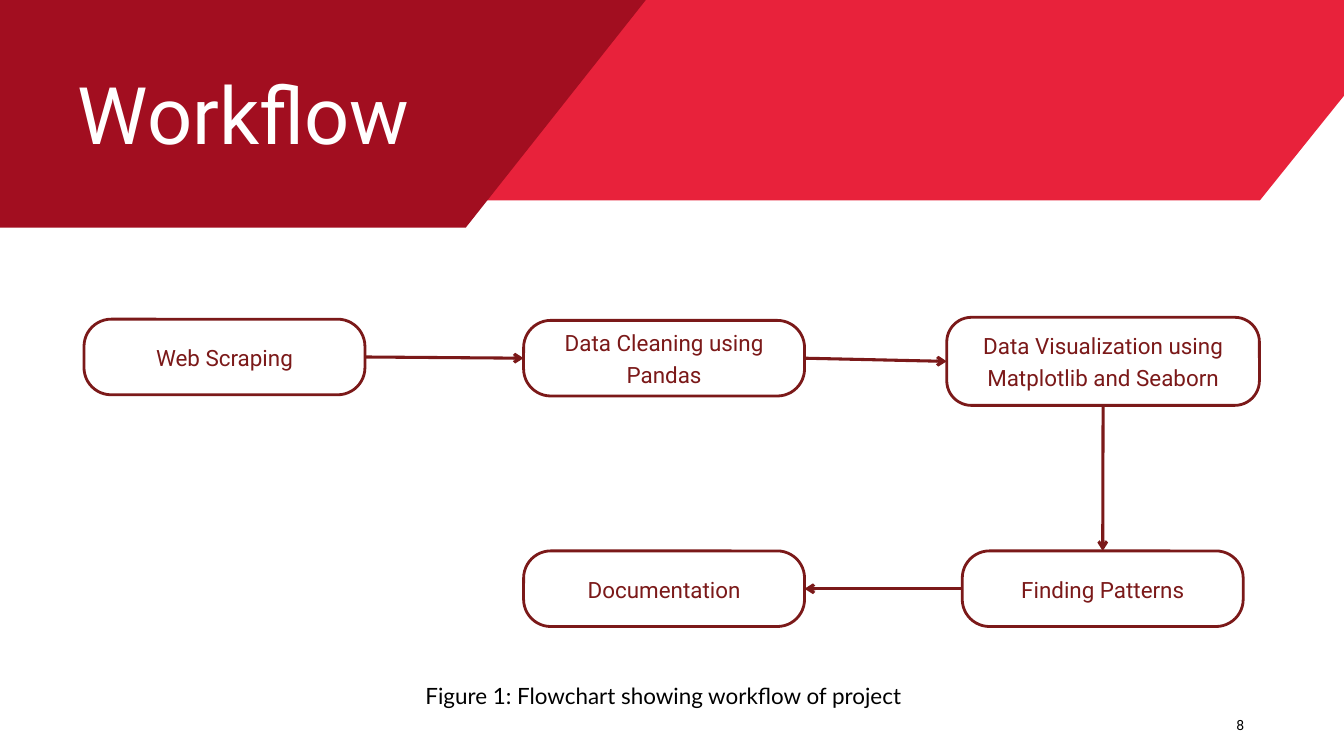
import pptx
import pptx.dml.color
import pptx.enum.shapes
import pptx.enum.text
import pptx.oxml.ns
import lxml.etree

Pt = pptx.util.Pt
ALIGN = pptx.enum.text.PP_ALIGN
ANCHOR = pptx.enum.text.MSO_ANCHOR
SHAPE = pptx.enum.shapes.MSO_SHAPE
CONNECTOR = pptx.enum.shapes.MSO_CONNECTOR

MAROON = "7B1919"
BOTTOM, LEFT, TOP, RIGHT = 2, 1, 0, 3

BANNERS = [
    ("E8223B", [(147, 0), (1440, 0), (1440, 102.6), (1350, 214.6), (319.7, 214.6)]),
    ("A20E20", [(0, 0), (692, 0), (499, 244), (0, 244)]),
]

STEPS = {
    "scraping": (["Web Scraping"], 90, 342, 301, 81),
    "cleaning": (["Data Cleaning using", "Pandas"], 561, 343.3, 301, 81),
    "visualization": (
        ["Data Visualization using", "Matplotlib and Seaborn"], 1014.4, 340, 335, 94.4),
    "patterns": (["Finding Patterns"], 1031, 590.3, 301, 81),
    "documentation": (["Documentation"], 561, 590.3, 301, 81),
}

ARROWS = [
    ("scraping", RIGHT, "cleaning", LEFT),
    ("cleaning", RIGHT, "visualization", LEFT),
    ("visualization", BOTTOM, "patterns", TOP),
    ("patterns", LEFT, "documentation", RIGHT),
]

CAPTIONS = [
    ("8", 1315, 764.6, 28, 20, "Roboto", 15, 21),
    ("Figure 1: Flowchart showing workflow of project",
     435.6, 725.8, 550, 31, "Lato", 24, 33.6),
]


def color(value):
    return pptx.dml.color.RGBColor.from_string(value)


def place(shape, left, top, width, height):
    shape.left, shape.top = Pt(left), Pt(top)
    shape.width, shape.height = Pt(width), Pt(height)


def write(shape, lines, font, size, spacing, ink, align, anchor, bottom=0):
    frame = shape.text_frame
    frame.word_wrap = True
    frame.auto_size = pptx.enum.text.MSO_AUTO_SIZE.NONE
    frame.vertical_anchor = anchor
    frame.margin_left = frame.margin_right = frame.margin_top = 0
    frame.margin_bottom = Pt(bottom)
    frame.text = "\n".join(lines)
    for paragraph in frame.paragraphs:
        paragraph.alignment = align
        paragraph.line_spacing = Pt(spacing)
        paragraph.space_before = Pt(0)
        paragraph.font.name = font
        paragraph.font.size = Pt(size)
        paragraph.font.color.rgb = color(ink)


def add_banner(slide, fill, points):
    corners = [(Pt(x), Pt(y)) for x, y in points]
    builder = slide.shapes.build_freeform(*corners[0], scale=1.0)
    builder.add_line_segments(corners[1:], close=True)
    banner = builder.convert_to_shape()
    banner.shadow.inherit = False
    banner.fill.solid()
    banner.fill.fore_color.rgb = color(fill)
    banner.line.fill.background()


def add_step(slide, lines, left, top, width, height):
    step = slide.shapes.add_shape(
        SHAPE.ROUNDED_RECTANGLE, Pt(left), Pt(top), Pt(width), Pt(height))
    step.adjustments[0] = round(29.2 * 301 / width / height, 2)
    step.shadow.inherit = False
    step.fill.background()
    step.line.color.rgb = color(MAROON)
    step.line.width = Pt(3)
    write(step, lines, "Roboto", 24, 33.6, MAROON, ALIGN.CENTER, ANCHOR.MIDDLE, 4)
    return step


def add_arrow(slide, start, start_side, end, end_side):
    arrow = slide.shapes.add_connector(CONNECTOR.STRAIGHT, 0, 0, 0, 0)
    arrow.begin_connect(start, start_side)
    arrow.end_connect(end, end_side)
    arrow.line.color.rgb = color(MAROON)
    arrow.line.width = Pt(3.3)
    qualify = pptx.oxml.ns.qn
    properties = arrow.element.spPr
    line = properties.find(qualify("a:ln"))
    lxml.etree.SubElement(line, qualify("a:tailEnd"), type="arrow")
    lxml.etree.SubElement(properties, qualify("a:effectLst"))


def main():
    presentation = pptx.Presentation()
    presentation.slide_width, presentation.slide_height = Pt(1440), Pt(810)
    slide = presentation.slides.add_slide(presentation.slide_layouts[5])

    for fill, points in BANNERS:
        add_banner(slide, fill, points)

    title = slide.shapes.title
    title.element.getparent().append(title.element)
    place(title, 83.5, 69.8, 928, 102)
    write(title, ["Workflow"], "Roboto", 85, 102, "FFFFFF", ALIGN.LEFT, ANCHOR.TOP)

    steps = {name: add_step(slide, *step) for name, step in STEPS.items()}
    for start, start_side, end, end_side in ARROWS:
        add_arrow(slide, steps[start], start_side, steps[end], end_side)

    for text, left, top, width, height, font, size, spacing in CAPTIONS:
        caption = slide.shapes.add_textbox(Pt(left), Pt(top), Pt(width), Pt(height))
        write(caption, [text], font, size, spacing, "000000", ALIGN.CENTER, ANCHOR.TOP)

    presentation.save("out.pptx")


if __name__ == "__main__":
    main()
